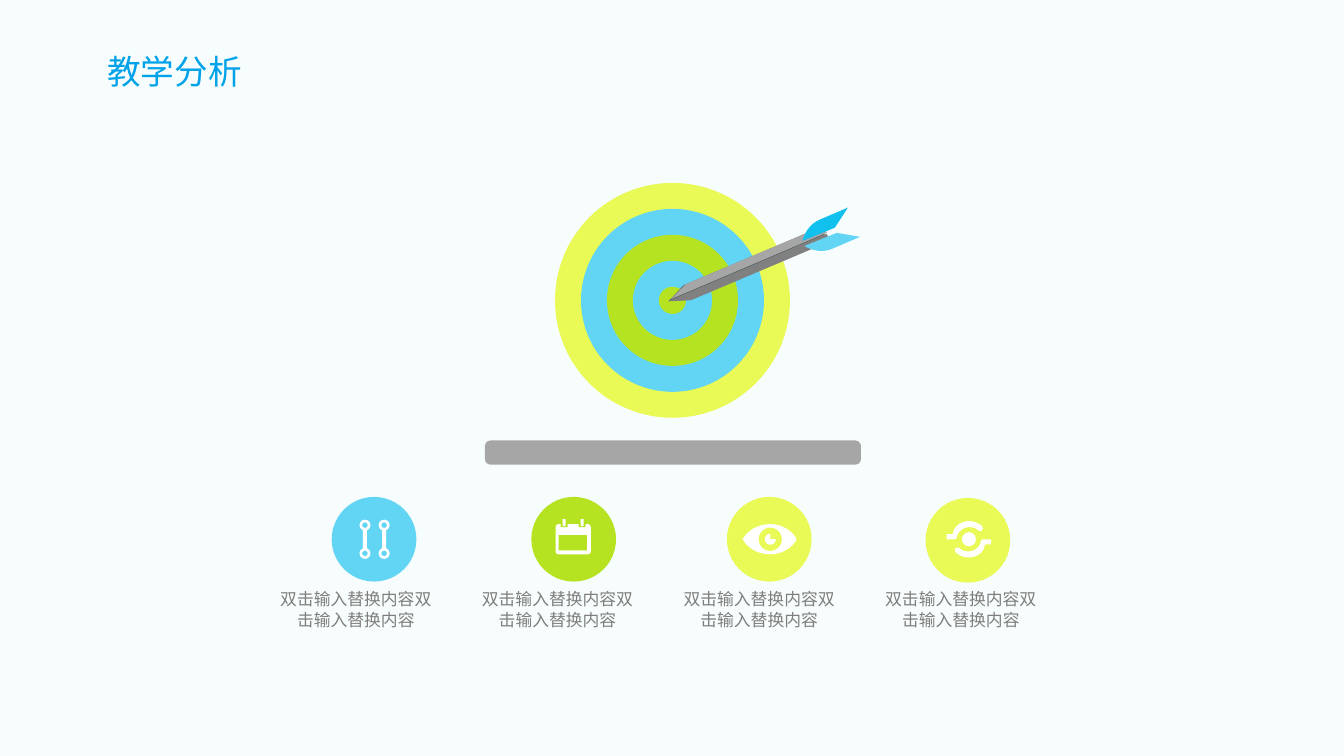
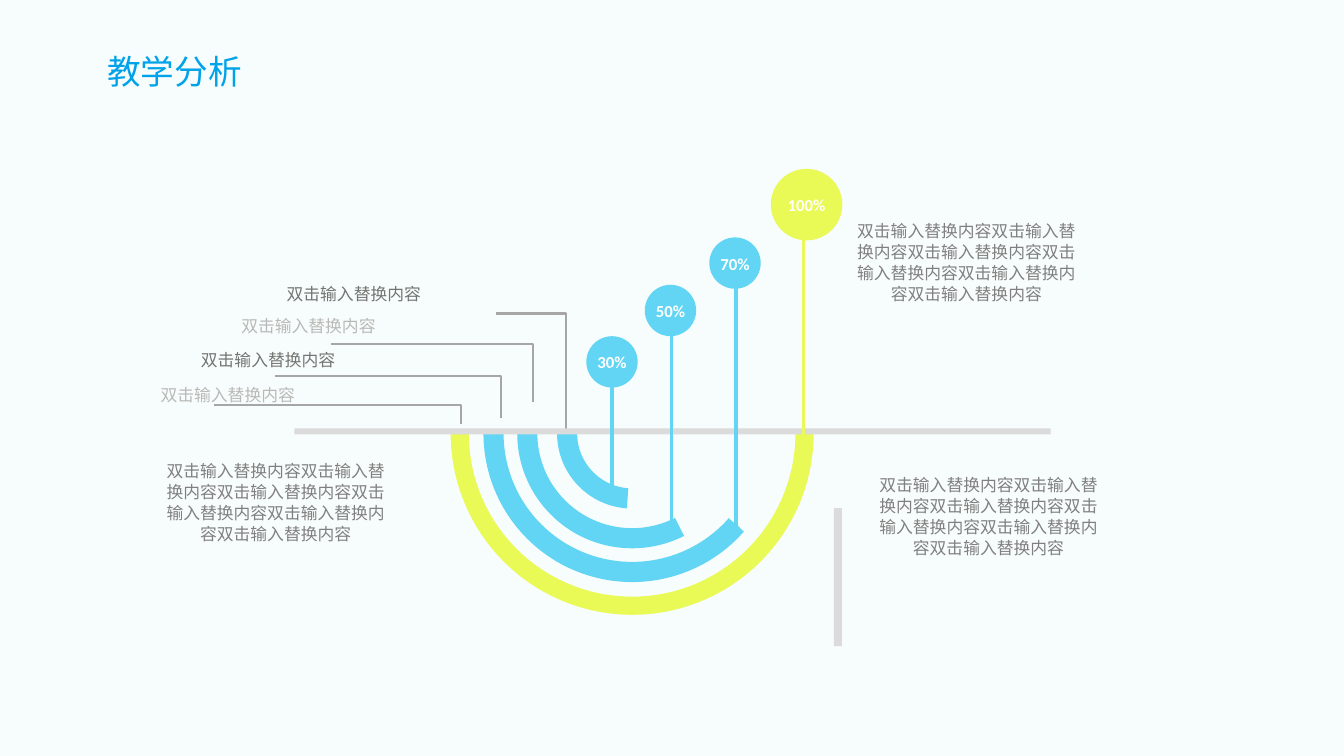
from dataclasses import dataclass

from lxml import etree
from pptx import Presentation
from pptx.dml.color import RGBColor
from pptx.enum.shapes import MSO_CONNECTOR, MSO_SHAPE
from pptx.enum.text import MSO_ANCHOR, PP_ALIGN
from pptx.oxml.ns import qn
from pptx.util import Inches, Pt

ELLIPSE = MSO_SHAPE.OVAL
RECTANGLE = MSO_SHAPE.RECTANGLE
ROUNDED = MSO_SHAPE.ROUNDED_RECTANGLE
DONUT = MSO_SHAPE.DONUT
PIE = MSO_SHAPE.PIE
BLOCK_ARC = MSO_SHAPE.BLOCK_ARC
STRAIGHT = MSO_CONNECTOR.STRAIGHT
TOP, MIDDLE = MSO_ANCHOR.TOP, MSO_ANCHOR.MIDDLE
CENTER = PP_ALIGN.CENTER


@dataclass(frozen=True)
class Theme:
    background: str = "F7FDFC"
    title: str = "00A2E9"
    yellow: str = "E9F955"
    blue: str = "62D5F4"
    deep_blue: str = "12C0EE"
    green: str = "B5E321"
    white: str = "FFFFFF"
    gray: str = "A6A6A6"
    bar: str = "DBDBDB"
    body: str = "808080"
    caption: str = "7E7E7E"
    label_dark: str = "737572"
    label_light: str = "B9BAB8"
    shade: str = "515D5D"
    shade_edge: str = "828286"
    cjk_font: str = "Noto Sans CJK SC"
    number_font: str = "Calibri"
    title_size: int = 24
    body_size: int = 12
    line_pitch: int = 15


THEME = Theme()
TITLE = "教学分析"
PHRASE = "双击输入替换内容"

EYE = [(0, -0.15), (-0.18, -0.15, -0.27, -0.02, -0.27, 0),
       (-0.27, 0.02, -0.18, 0.15, 0, 0.15),
       (0.17, 0.15, 0.26, 0.02, 0.26, 0),
       (0.26, -0.02, 0.17, -0.15, 0, -0.15)]
SWIRL = [(-0.12, -0.02), (-0.11, -0.08, -0.05, -0.12, 0, -0.12),
         (0.04, -0.12, 0.07, -0.11, 0.09, -0.09),
         (0.1, -0.08, 0.13, -0.08, 0.13, -0.09),
         (0.14, -0.1, 0.14, -0.11, 0.13, -0.13),
         (0.1, -0.16, 0.05, -0.18, 0, -0.18),
         (-0.08, -0.18, -0.15, -0.13, -0.16, -0.05),
         (-0.22, -0.05), (-0.22, 0), (-0.15, 0),
         (-0.12, 0, -0.12, -0.02, -0.12, -0.02)]
DART = [
    (THEME.shade, [(6.78, 2.83), (8.15, 2.25), (8.18, 2.33), (6.63, 2.99)]),
    (THEME.shade_edge, [(6.85, 2.98), (8.22, 2.4), (8.18, 2.33), (6.63, 2.99)]),
    (THEME.gray, [(6.8, 2.82), (8.17, 2.24), (8.2, 2.31), (6.65, 2.97)]),
    (THEME.body, [(6.87, 2.97), (8.23, 2.39), (8.2, 2.32), (6.65, 2.98)]),
    (THEME.deep_blue, [(7.96, 2.39), (7.96, 2.39, 7.99, 2.24, 8.13, 2.18),
                       (8.41, 2.06), (8.28, 2.26)]),
    (THEME.blue, [(7.98, 2.44), (7.98, 2.44, 8.11, 2.53, 8.25, 2.47),
                  (8.53, 2.35), (8.3, 2.31)]),
]


def rgb(color):
    return RGBColor.from_string(color)


def add_block(slide, kind, left, top, width, height, color, adjustments=()):
    shape = slide.shapes.add_shape(
        kind, Inches(left), Inches(top), Inches(width), Inches(height))
    shape.shadow.inherit = False
    shape.fill.solid()
    shape.fill.fore_color.rgb = rgb(color)
    shape.line.fill.background()
    for index, value in enumerate(adjustments):
        shape.adjustments[index] = value
    return shape


def add_round(slide, x, y, diameter, color, kind=ELLIPSE, adjustments=()):
    """Add a circular shape centred on (x, y)."""
    return add_block(slide, kind, x - diameter / 2, y - diameter / 2,
                     diameter, diameter, color, adjustments)


def flatten(segments, steps=10):
    """Turn (x, y) corners and six-number Bézier curves into points."""
    points = [segments[0]]
    for segment in segments[1:]:
        if len(segment) == 2:
            points.append(segment)
            continue
        start = points[-1]
        first, second, end = segment[:2], segment[2:4], segment[4:]
        for step in range(1, steps + 1):
            t = step / steps
            u = 1 - t
            points.append(tuple(
                u ** 3 * a + 3 * u * u * t * b + 3 * u * t * t * c + t ** 3 * d
                for a, b, c, d in zip(start, first, second, end)))
    return points


def add_freeform(slide, segments, x=0, y=0, sign=1, closed=True):
    """Add an outline around the origin (x, y); sign -1 gives a half turn."""
    points = [(Inches(x + sign * dx), Inches(y + sign * dy))
              for dx, dy in flatten(segments)]
    builder = slide.shapes.build_freeform(*points[0])
    builder.add_line_segments(points[1:], close=closed)
    shape = builder.convert_to_shape()
    shape.shadow.inherit = False
    return shape


def add_outline(slide, segments, color, x=0, y=0, sign=1):
    shape = add_freeform(slide, segments, x, y, sign)
    shape.fill.solid()
    shape.fill.fore_color.rgb = rgb(color)
    shape.line.fill.background()


def add_leader(slide, points):
    shape = add_freeform(slide, points, closed=False)
    shape.fill.background()
    shape.line.color.rgb = rgb(THEME.gray)
    shape.line.width = Pt(1.5)


def write_text(shape, text, color, font=THEME.cjk_font, size=THEME.body_size,
               bold=False, anchor=TOP, pitch=THEME.line_pitch):
    frame = shape.text_frame
    frame.word_wrap = True
    frame.vertical_anchor = anchor
    frame.text = text
    paragraph = frame.paragraphs[0]
    paragraph.alignment = CENTER
    if pitch:
        paragraph.line_spacing = Pt(pitch)
    run = paragraph.runs[0]
    run.font.name = font
    run.font.size = Pt(size)
    run.font.bold = bold
    run.font.color.rgb = rgb(color)
    east_asian = etree.SubElement(run.font._element, qn("a:ea"))
    east_asian.set("typeface", font)


def add_text(slide, left, top, width, height, text, color, **style):
    box = slide.shapes.add_textbox(
        Inches(left), Inches(top), Inches(width), Inches(height))
    write_text(box, text, color, **style)


def add_stem(slide, x, top, bottom, color):
    """Add a vertical line with a round dot at each end."""
    stem = slide.shapes.add_connector(
        STRAIGHT, Inches(x), Inches(top), Inches(x), Inches(bottom))
    stem.line.color.rgb = rgb(color)
    stem.line.width = Pt(2.25)
    line = stem.line._get_or_add_ln()
    for end in ("a:headEnd", "a:tailEnd"):
        etree.SubElement(line, qn(end)).set("type", "oval")
    etree.SubElement(stem._element.spPr, qn("a:effectLst"))


def add_slide(presentation):
    slide = presentation.slides.add_slide(presentation.slide_layouts[6])
    add_text(slide, -0.47, 0.46, 4.4, 0.5, TITLE, THEME.title,
             size=THEME.title_size, pitch=None)
    return slide


def add_links_icon(slide, x, y, color):
    for dx in (-0.09, 0.1):
        add_block(slide, RECTANGLE, x + dx - 0.02, y - 0.1, 0.04, 0.19, THEME.white)
        for dy in (-0.14, 0.14):
            add_round(slide, x + dx, y + dy, 0.07, color)
            add_round(slide, x + dx, y + dy, 0.11, THEME.white, DONUT, [0.25])


def add_calendar_icon(slide, x, y, color):
    add_block(slide, ROUNDED, x - 0.18, y - 0.15, 0.35, 0.3, THEME.white, [0.1])
    add_block(slide, RECTANGLE, x - 0.15, y - 0.04, 0.28, 0.15, color)
    for dx in (-0.13, 0.05):
        add_block(slide, RECTANGLE, x + dx, y - 0.15, 0.07, 0.03, color)
        add_block(slide, RECTANGLE, x + dx + 0.02, y - 0.2, 0.03, 0.07, THEME.white)


def add_eye_icon(slide, x, y, color):
    add_outline(slide, EYE, THEME.white, x + 0.01, y)
    add_round(slide, x + 0.01, y, 0.23, color)
    add_round(slide, x + 0.01, y, 0.11, THEME.white, PIE)


def add_orbit_icon(slide, x, y, color):
    x, y = x + 0.01, y - 0.01
    add_round(slide, x, y, 0.14, THEME.white)
    for sign in (1, -1):
        add_outline(slide, SWIRL, THEME.white, x, y, sign)


def build_target_slide(presentation):
    slide = add_slide(presentation)
    icons = [(3.71, 5.35, THEME.blue, add_links_icon),
             (5.69, 5.35, THEME.green, add_calendar_icon),
             (7.63, 5.35, THEME.yellow, add_eye_icon),
             (9.6, 5.36, THEME.yellow, add_orbit_icon)]
    for index, (x, y, color, add_icon) in enumerate(icons):
        add_round(slide, x, y, 0.84, color)
        add_icon(slide, x, y, color)
        add_text(slide, 2.61 + 2 * index, 5.78, 1.84, 0.52, PHRASE * 2, THEME.caption)
    add_block(slide, ROUNDED, 4.81, 4.37, 3.73, 0.24, THEME.gray, [0.23])

    ring_colors = [THEME.yellow, THEME.blue, THEME.green, THEME.blue, THEME.green]
    outer, inner = 2.33, 0.27
    step = (outer - inner) / (len(ring_colors) - 1)
    for index, color in enumerate(ring_colors):
        add_round(slide, 6.67, 2.98, outer - index * step, color)
    for color, segments in DART:
        add_outline(slide, segments, color)


def add_arc(slide, diameter, thickness, end_degrees, color):
    """Add an arc hanging below the horizon, from its left end."""
    degree = 0.6
    arc = add_round(slide, 6.27, 4.3, diameter, color, BLOCK_ARC,
                    [180 * degree, end_degrees * degree, thickness / diameter])
    arc._element.spPr.xfrm.set("flipV", "1")


def add_ball(slide, x, y, diameter, text, color):
    ball = add_round(slide, x, y, diameter, color)
    frame = ball.text_frame
    frame.margin_left = frame.margin_right = frame.margin_top = frame.margin_bottom = 0
    write_text(ball, text, THEME.white, font=THEME.number_font, bold=True,
               anchor=MIDDLE)


def build_arc_slide(presentation):
    slide = add_slide(presentation)
    for diameter, thickness, end_degrees, color in [
            (3.6, 0.18, 0.31, THEME.yellow), (2.95, 0.2, 318.7, THEME.blue),
            (2.28, 0.2, 296.87, THEME.blue), (1.49, 0.2, 265.99, THEME.blue)]:
        add_arc(slide, diameter, thickness, end_degrees, color)

    # Leader: foot x, foot y, shelf y, shelf left; label: left, top, colour
    for foot_x, foot_y, shelf_y, shelf_left, left, top, color in [
            (4.57, 4.21, 4.02, 2.12, 0.48, 3.82, THEME.label_light),
            (4.97, 4.15, 3.73, 2.73, 0.88, 3.47, THEME.label_dark),
            (5.29, 3.99, 3.41, 3.28, 1.28, 3.13, THEME.label_light),
            (5.61, 4.29, 3.11, 4.92, 1.73, 2.82, THEME.label_dark)]:
        add_leader(slide, [(foot_x, foot_y), (foot_x, shelf_y), (shelf_left, shelf_y)])
        add_text(slide, left, top, 3.56, 0.19, PHRASE, color, anchor=MIDDLE)

    add_block(slide, RECTANGLE, 8.27, 5.04, 0.08, 1.37, THEME.bar)
    add_block(slide, RECTANGLE, 2.92, 4.25, 7.5, 0.06, THEME.bar)
    # Ball: text, centre, diameter; stem: x, top, bottom
    for text, x, y, diameter, stem_x, top, bottom, color in [
            ("100%", 8, 2.03, 0.71, 7.97, 2.31, 4.36, THEME.yellow),
            ("70%", 7.29, 2.61, 0.51, 7.3, 2.76, 5.26, THEME.blue),
            ("50%", 6.65, 3.08, 0.51, 6.66, 3.29, 5.28, THEME.blue),
            ("30%", 6.07, 3.59, 0.51, 6.07, 3.69, 4.94, THEME.blue)]:
        add_ball(slide, x, y, diameter, text, color)
        add_stem(slide, stem_x, top, bottom, color)
    for left, top in [(1.5, 4.51), (8.35, 2.13), (8.57, 4.65)]:
        add_text(slide, left, top, 2.47, 1.15, PHRASE * 6, THEME.body)


def main():
    presentation = Presentation()
    presentation.slide_width = Inches(13.33)
    presentation.slide_height = Inches(7.5)
    background = presentation.slide_master.background.fill
    background.solid()
    background.fore_color.rgb = rgb(THEME.background)
    build_target_slide(presentation)
    build_arc_slide(presentation)
    presentation.save("out.pptx")


if __name__ == "__main__":
    main()
